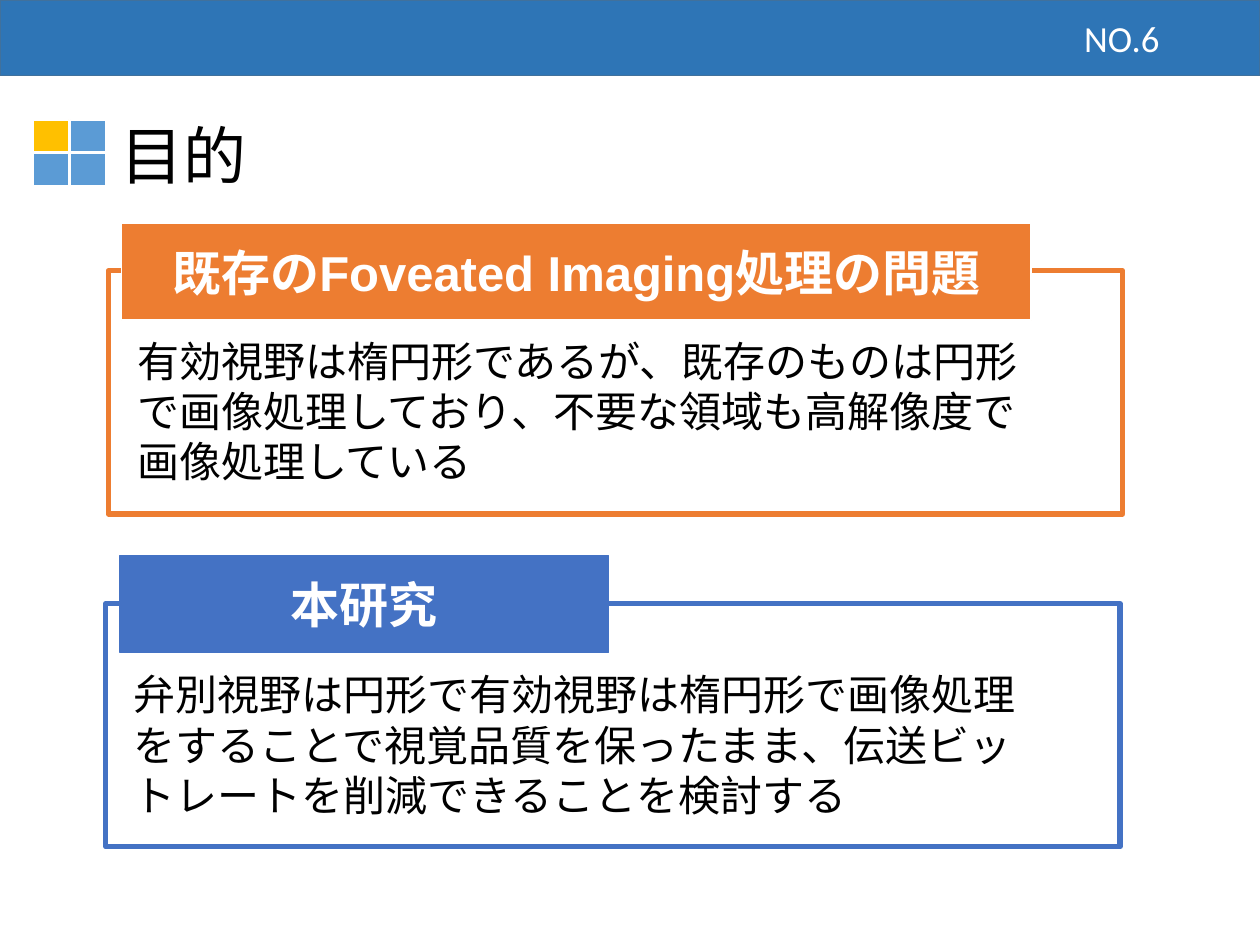
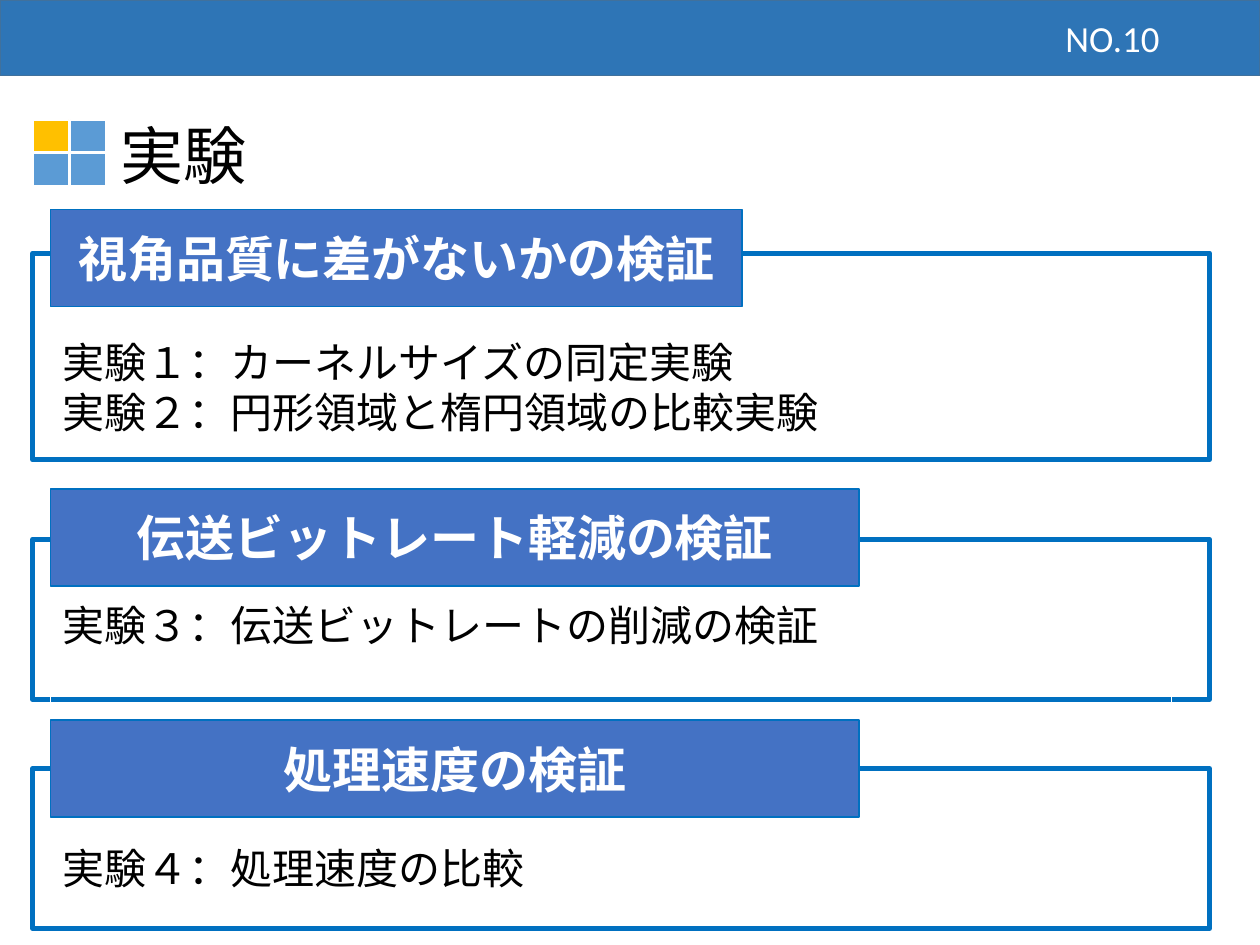
from dataclasses import dataclass
from itertools import product
from typing import NamedTuple, Optional

from pptx import Presentation
from pptx.dml.color import RGBColor
from pptx.enum.shapes import MSO_SHAPE as Shape
from pptx.enum.text import MSO_ANCHOR as Anchor, PP_ALIGN as Align
from pptx.util import Pt

BLACK, WHITE = "000000", "FFFFFF"
BAND, BAND_EDGE = "2E75B6", "41719C"
GOLD, SKY = "FFC000", "5B9BD5"
ORANGE, INDIGO, AZURE = "ED7D31", "4472C4", "0070C0"
SANS, ROUND = "Arial", "Calibri"


class Box(NamedTuple):
    left: float
    top: float
    width: float
    height: float

    def lengths(self) -> list:
        return [Pt(value) for value in self]


class TextStyle(NamedTuple):
    font: str
    size: float
    color: str = BLACK
    bold: bool = False
    align: Align = Align.LEFT
    anchor: Anchor = Anchor.TOP


@dataclass
class Panel:
    """A framed block with a heading tab across its upper edge."""
    heading: str
    lines: list[str]
    frame: Box
    tab: Box
    body: Box
    frame_color: str
    tab_fill: str
    tab_edge: str
    heading_font: str = SANS
    body_font: str = SANS
    body_edge: Optional[str] = None


@dataclass
class Page:
    number: int
    title: str
    panels: list[Panel]


def rgb(color: str) -> RGBColor:
    return RGBColor.from_string(color)


def set_edge(shape, color: str, weight: float) -> None:
    shape.line.color.rgb = rgb(color)
    shape.line.width = Pt(weight)


def add_rect(slide, box: Box, fill: str, edge: str, weight: float = 1):
    rect = slide.shapes.add_shape(Shape.RECTANGLE, *box.lengths())
    rect.shadow.inherit = False
    rect.fill.solid()
    rect.fill.fore_color.rgb = rgb(fill)
    set_edge(rect, edge, weight)
    return rect


def write(shape, lines: list[str], style: TextStyle, wrap: bool = True) -> None:
    frame = shape.text_frame
    frame.text = "\n".join(lines)
    frame.word_wrap = wrap
    frame.vertical_anchor = style.anchor
    for paragraph in frame.paragraphs:
        paragraph.alignment = style.align
        font = paragraph.font
        font.name, font.size, font.bold = style.font, Pt(style.size), style.bold
        font.color.rgb = rgb(style.color)


def add_text(slide, box: Box, lines: list[str], style: TextStyle, wrap: bool = True):
    label = slide.shapes.add_textbox(*box.lengths())
    write(label, lines, style, wrap)
    return label


def add_header(slide, page: Page) -> None:
    add_rect(slide, Box(0, 0, 720, 43.2), BAND, BAND_EDGE)
    add_text(slide, Box(575.3, 3.6, 94.3, 36), [f"NO.{page.number}"],
             TextStyle(ROUND, 21, WHITE, align=Align.RIGHT, anchor=Anchor.MIDDLE))
    add_text(slide, Box(62, 63, 87, 51), [page.title], TextStyle(SANS, 36), wrap=False)
    for row, column in product(range(2), repeat=2):
        tile = Box(18.9 + 21.4 * column, 68.4 + 19.3 * row, 20.2, 18.7)
        add_rect(slide, tile, SKY if row or column else GOLD, WHITE)


def add_panel(slide, panel: Panel) -> None:
    add_rect(slide, panel.frame, WHITE, panel.frame_color, 3)
    tab = add_rect(slide, panel.tab, panel.tab_fill, panel.tab_edge)
    write(tab, [panel.heading],
          TextStyle(panel.heading_font, 28, WHITE, True, Align.CENTER, Anchor.MIDDLE))
    body = add_text(slide, panel.body, panel.lines, TextStyle(panel.body_font, 24))
    if panel.body_edge:
        set_edge(body, panel.body_edge, 0.75)


def experiment(heading: str, lines: list[str], frame_top: float, frame_height: float,
               tab_top: float, tab_width: float, body: Box, heading_font: str = SANS) -> Panel:
    return Panel(heading, lines, Box(18.7, frame_top, 672.5, frame_height),
                 Box(28.8, tab_top, tab_width, 55.4), body,
                 AZURE, INDIGO, AZURE, heading_font, body_edge=WHITE)


PAGES = [
    Page(6, "目的", [
        Panel("既存のFoveated Imaging処理の問題",
              ["有効視野は楕円形であるが、既存のものは円形で画像処理しており、"
               "不要な領域も高解像度で画像処理している"],
              Box(61.9, 154.8, 579.6, 139), Box(69.4, 127.6, 519.8, 55.4),
              Box(71.3, 187.9, 517.7, 123.8), ORANGE, ORANGE, WHITE, body_font=ROUND),
        Panel("本研究",
              ["弁別視野は円形で有効視野は楕円形で画像処理をすることで"
               "視覚品質を保ったまま、伝送ビットレートを削減できることを検討する"],
              Box(60.5, 344.9, 579.6, 139), Box(68.4, 317.5, 279.4, 55.4),
              Box(69.1, 378.7, 519.8, 94.3), INDIGO, INDIGO, INDIGO, heading_font=ROUND),
    ]),
    Page(10, "実験", [
        experiment("視角品質に差がないかの検証",
                   ["実験１：カーネルサイズの同定実験", "実験２：円形領域と楕円領域の比較実験"],
                   144.7, 118.1, 119.8, 395.3, Box(28.8, 188.6, 519.8, 65.5), ROUND),
        experiment("伝送ビットレート軽減の検証", ["実験３：伝送ビットレートの削減の検証"],
                   308.2, 91.4, 279.4, 462.2, Box(28.8, 339.1, 640.8, 65.5)),
        experiment("処理速度の検証", ["実験４：処理速度の比較"],
                   439.2, 91.4, 411.6, 462.2, Box(28.8, 478.1, 632.2, 36)),
    ]),
]


def main() -> None:
    deck = Presentation()
    deck.slide_width, deck.slide_height = Pt(720), Pt(540)
    for page in PAGES:
        slide = deck.slides.add_slide(deck.slide_layouts[6])
        add_header(slide, page)
        for panel in page.panels:
            add_panel(slide, panel)
    deck.save("out.pptx")


if __name__ == "__main__":
    main()
